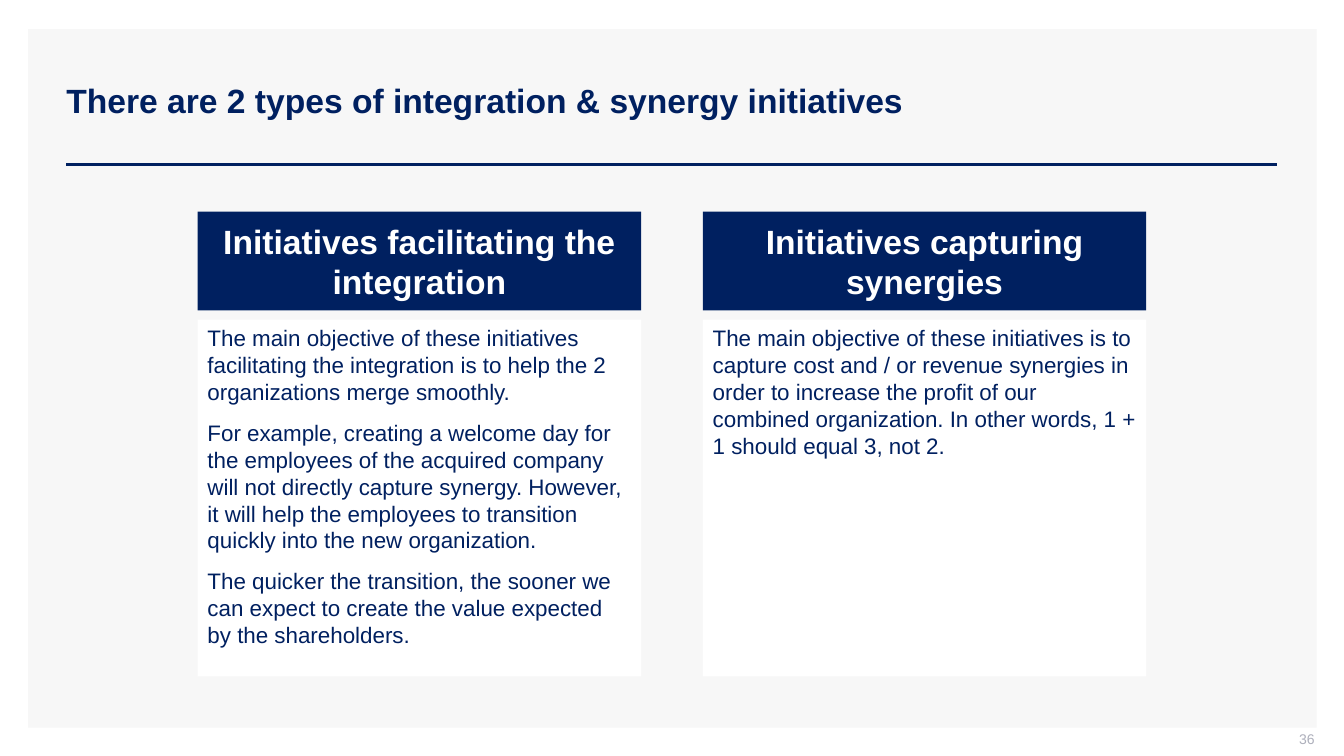
"""Build a slide that compares two types of integration and synergy initiatives."""
import dataclasses

import pptx
import pptx.dml.color
import pptx.enum.shapes
import pptx.enum.text
import pptx.oxml.ns
import pptx.util
from lxml import etree

ALIGN = pptx.enum.text.PP_ALIGN
ANCHOR = pptx.enum.text.MSO_ANCHOR


@dataclasses.dataclass(frozen=True)
class Theme:
    font: str = "Arial"
    navy: str = "002060"
    white: str = "FFFFFF"
    panel: str = "F7F7F7"
    gray: str = "ADAFBB"
    heading_size: int = 24
    body_size: int = 16
    number_size: int = 10
    paragraph_gap: int = 5
    rule_width: int = 2


class SlideBuilder:
    """Draw elements whose places are percentages of the slide's width and height."""

    def __init__(self, presentation, slide, theme):
        self.presentation = presentation
        self.slide = slide
        self.theme = theme

    def across(self, percent):
        return round(self.presentation.slide_width * percent / 100)

    def down(self, percent):
        return round(self.presentation.slide_height * percent / 100)

    def place(self, left, top, width, height):
        return self.across(left), self.down(top), self.across(width), self.down(height)

    def color(self, value):
        return pptx.dml.color.RGBColor.from_string(value)

    def box(self, area, fill):
        rectangle = pptx.enum.shapes.MSO_SHAPE.RECTANGLE
        shape = self.slide.shapes.add_shape(rectangle, *self.place(*area))
        shape.shadow.inherit = False
        shape.fill.solid()
        shape.fill.fore_color.rgb = self.color(fill)
        shape.line.fill.background()
        return shape

    def text_box(self, area):
        return self.slide.shapes.add_textbox(*self.place(*area))

    def rule(self, left, right, top):
        line = self.slide.shapes.add_connector(
            pptx.enum.shapes.MSO_CONNECTOR.STRAIGHT,
            self.across(left), self.down(top), self.across(right), self.down(top))
        line.line.color.rgb = self.color(self.theme.navy)
        line.line.width = pptx.util.Pt(self.theme.rule_width)
        properties = line._element.spPr
        etree.SubElement(properties, pptx.oxml.ns.qn("a:effectLst"))

    def add_text(self, shape, paragraphs, size, color, bold=False,
                 align=ALIGN.LEFT, anchor=ANCHOR.MIDDLE, gap=0):
        frame = shape.text_frame
        frame.word_wrap = True
        frame.vertical_anchor = anchor
        for index, text in enumerate(paragraphs):
            paragraph = frame.add_paragraph() if index else frame.paragraphs[0]
            paragraph.alignment = align
            paragraph.space_before = pptx.util.Pt(gap if index else 0)
            paragraph.space_after = pptx.util.Pt(gap)
            run = paragraph.add_run()
            run.text = text
            run.font.name = self.theme.font
            run.font.size = pptx.util.Pt(size)
            run.font.bold = bold
            run.font.color.rgb = self.color(color)

    def title(self, text):
        self.add_text(self.text_box((4.2, 5.33, 90.85, 15.87)), [text],
                      self.theme.heading_size, self.theme.navy, bold=True)

    def page_number(self, text):
        shape = self.text_box((75.32, 96.67, 22.5, 2.8))
        shape.text_frame.margin_top = 0
        shape.text_frame.margin_right = 0
        self.add_text(shape, [text], self.theme.number_size, self.theme.gray,
                      align=ALIGN.RIGHT)

    def card(self, left, width, heading, paragraphs):
        theme = self.theme
        header = self.box((left, 28, width, 13.07), theme.navy)
        self.add_text(header, [heading], theme.heading_size, theme.white,
                      bold=True, align=ALIGN.CENTER)
        body = self.box((left, 42.27, width, 47.2), theme.white)
        self.add_text(body, paragraphs, theme.body_size, theme.navy,
                      anchor=ANCHOR.TOP, gap=theme.paragraph_gap)


CARDS = [
    ("Initiatives facilitating the integration", [
        "The main objective of these initiatives facilitating the integration is to help "
        "the 2 organizations merge smoothly.",
        "For example, creating a welcome day for the employees of the acquired company will "
        "not directly capture synergy. However, it will help the employees to transition "
        "quickly into the new organization.",
        "The quicker the transition, the sooner we can expect to create the value expected "
        "by the shareholders.",
    ]),
    ("Initiatives capturing synergies", [
        "The main objective of these initiatives is to capture cost and / or revenue "
        "synergies in order to increase the profit of our combined organization. In other "
        "words, 1 + 1 should equal 3, not 2.",
    ]),
]
CARD_LEFT, CARD_WIDTH, CARD_GAP = 14.7, 33, 4.59


def main():
    presentation = pptx.Presentation()
    presentation.slide_width = pptx.util.Inches(13.33)
    presentation.slide_height = pptx.util.Inches(7.5)
    slide = presentation.slides.add_slide(presentation.slide_layouts[6])
    theme = Theme()
    builder = SlideBuilder(presentation, slide, theme)
    builder.box((2.1, 3.87, 95.87, 92.4), theme.panel)
    builder.rule(4.95, 95.05, 21.73)
    builder.title("There are 2 types of integration & synergy initiatives")
    builder.page_number("36")
    for index, (heading, paragraphs) in enumerate(CARDS):
        left = CARD_LEFT + index * (CARD_WIDTH + CARD_GAP)
        builder.card(left, CARD_WIDTH, heading, paragraphs)
    presentation.save("out.pptx")


if __name__ == "__main__":
    main()
